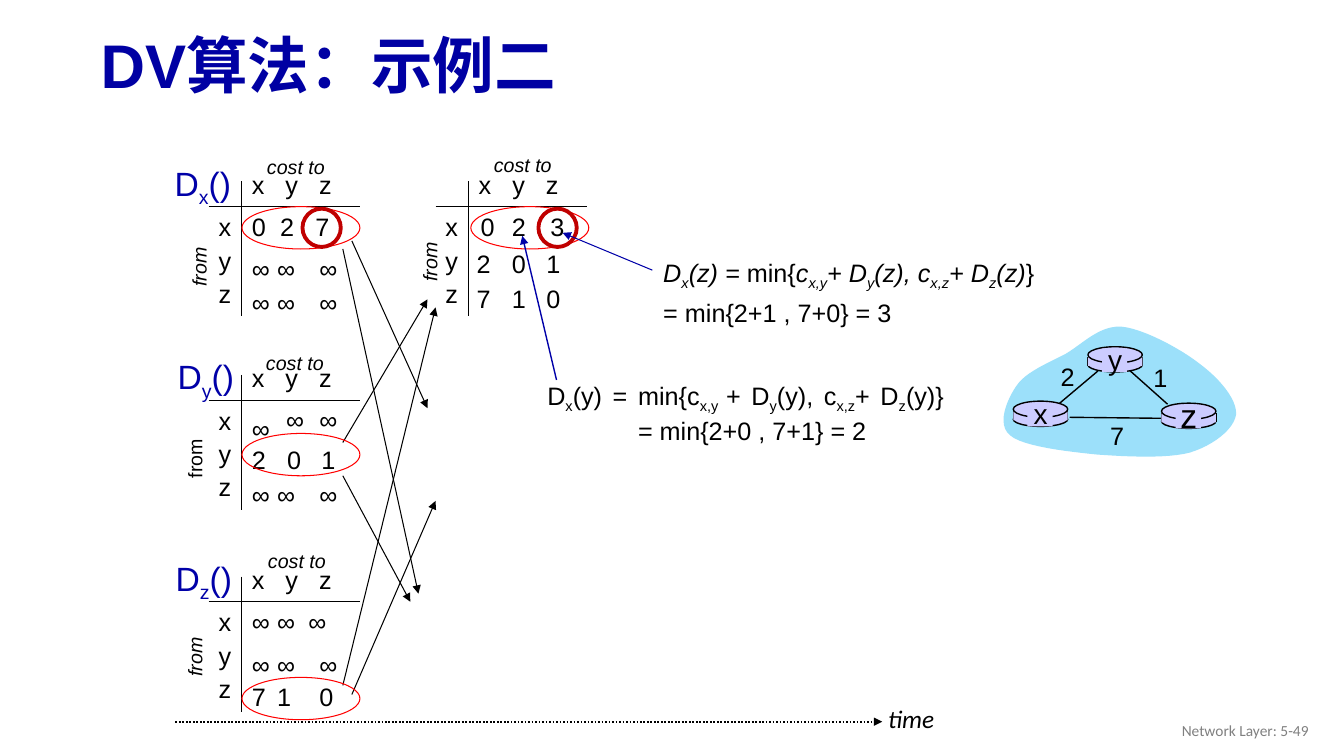
from lxml import etree
from pptx import Presentation
from pptx.dml.color import RGBColor
from pptx.enum import dml, shapes, text
from pptx.oxml import ns
from pptx.util import Inches, Pt

COLORS = {
    "title": "0000A3", "navy": "0000A8", "black": "000000", "gray": "808080",
    "red": "FF0000", "crimson": "C00000", "cloud": "9CE0FA", "router": "CCCCFF",
}
ALIGN, ANCHOR = text.PP_ALIGN, text.MSO_ANCHOR
OVAL, RECTANGLE = shapes.MSO_SHAPE.OVAL, shapes.MSO_SHAPE.RECTANGLE
WIDE, EVEN, SHIFTED = (0, 0.25, 0.67), (0, 0.35, 0.69), (-0.02, 0.33, 0.67)

TABLES = [
    {"name": "D|x|()", "origin": (2.4, 1.8), "right": 2.39, "cost": (2.55, 1.49), "from": (1.97, 2.65),
     "rows": [("027", 0.25, (0, 0.28, 0.63)), ("∞∞∞", 0.66, WIDE), ("∞∞∞", 1, WIDE)]},
    {"name": "", "origin": (4.65, 1.8), "cost": (4.8, 1.47), "from": (4.26, 2.6),
     "rows": [("023", 0.25, (0.02, 0.33, 0.71)), ("201", 0.61, SHIFTED), ("710", 0.96, SHIFTED)]},
    {"name": "D|y|()", "origin": (2.4, 3.72), "right": 2.42, "cost": (2.54, 3.43), "from": (1.93, 4.55),
     "upright": True,
     "rows": [("∞", 0.33, (0,)), ("∞∞", 0.24, (0.34, 0.67)), ("201", 0.64, EVEN), ("∞∞∞", 0.99, WIDE)]},
    {"name": "D|z|()", "origin": (2.4, 5.72), "right": 2.4, "cost": (2.56, 5.4), "from": (1.93, 6.52),
     "rows": [("∞∞∞", 0.25, (0, 0.25, 0.56)), ("∞∞∞", 0.67, WIDE), ("710", 0.99, WIDE)]},
]
EXCHANGES = [
    ((3.49, 2.39), (4.24, 4.05)), ((3.4, 2.47), (4.15, 5.89)), ((3.4, 4.39), (4.24, 2.97)),
    ((3.4, 4.72), (4.07, 5.97)), ((3.4, 6.8), (4.32, 3.05)), ((3.49, 6.89), (4.32, 4.97)),
]
CLOUD = [
    (10.08, 3.83), (10.17, 3.69), (10.4, 3.6), (10.57, 3.51), (10.74, 3.41), (10.9, 3.23), (11.12, 3.24),
    (11.34, 3.26), (11.71, 3.46), (11.9, 3.61), (12.09, 3.75), (12.27, 3.96), (12.26, 4.11),
    (12.24, 4.26), (12.03, 4.42), (11.8, 4.49), (11.57, 4.55), (11.18, 4.53), (10.89, 4.51),
    (10.59, 4.48), (10.15, 4.43), (10.02, 4.32), (9.88, 4.21), (9.99, 3.96), (10.08, 3.83),
]
LINKS = [
    ((10.51, 4), (10.89, 3.68), "2", (10.59, 3.74)),
    ((11.21, 3.68), (11.58, 4.01), "1", (11.51, 3.75)),
    ((11.54, 4.15), (10.61, 4.14), "7", (11.08, 4.32)),
]
ROUTERS = [("x", 10.05, 3.98, 20), ("z", 11.52, 4, 24), ("y", 10.79, 3.44, 20)]


def rgb(color):
    return RGBColor.from_string(COLORS[color])


def style(paragraph, size, color="black", font="Arial", italic=False, bold=False,
          align=ALIGN.LEFT, spacing=1.0):
    paragraph.font.size, paragraph.font.name = Pt(size), font
    paragraph.font.color.rgb = rgb(color)
    paragraph.font.italic, paragraph.font.bold = italic, bold
    paragraph.alignment, paragraph.line_spacing = align, spacing


def add_markup(paragraph, markup, italic=None):
    for index, part in enumerate(markup.split("|")):
        if part:
            run = paragraph.add_run()
            run.text = part
            run.font.italic = italic
            if index % 2:
                run._r.get_or_add_rPr().set("baseline", "-25000")


def add_box(parent, left, top, width, height, anchor=ANCHOR.TOP):
    box = parent.add_textbox(Inches(left), Inches(top), Inches(width), Inches(height))
    box.text_frame.word_wrap = True
    box.text_frame.vertical_anchor = anchor
    return box


def add_text(parent, markup, left, top, width=0.4, height=0.4, size=18, anchor=ANCHOR.TOP, **options):
    box = add_box(parent, left, top, width, height, anchor)
    paragraph = box.text_frame.paragraphs[0]
    add_markup(paragraph, markup)
    style(paragraph, size, **options)
    return box


def add_centered(parent, label, center, size=18, width=0.5, height=0.4, **options):
    return add_text(parent, label, center[0] - width / 2, center[1] - height / 2,
                    width, height, size, align=ALIGN.CENTER, **options)


def add_line(parent, start, end, color="black", weight=0.75, arrow=False):
    line = parent.add_connector(shapes.MSO_CONNECTOR.STRAIGHT, *(Inches(value) for value in start + end))
    line.line.color.rgb = rgb(color)
    line.line.width = Pt(weight)
    if arrow:
        etree.SubElement(line.line._get_or_add_ln(), ns.qn("a:tailEnd"), type="triangle")
    etree.SubElement(line._element.spPr, ns.qn("a:effectLst"))
    return line


def paint(shape, fill=None, line=None, weight=1):
    shape.shadow.inherit = False
    shape.fill.background()
    shape.line.fill.background()
    if fill:
        shape.fill.solid()
        shape.fill.fore_color.rgb = rgb(fill)
    if line:
        shape.line.color.rgb = rgb(line)
        shape.line.width = Pt(weight)


def add_preset(parent, kind, left, top, width, height, **look):
    paint(parent.add_shape(kind, Inches(left), Inches(top), Inches(width), Inches(height)), **look)


def add_distance_table(parent, table):
    left, top = table["origin"]
    add_line(parent, (left, top), (left, top + 1.34))
    add_line(parent, (left - 0.33, top + 0.25), (left + 1.17, top + 0.25))
    for index, node in enumerate("xyz"):
        add_text(parent, node, left + index / 3, top - 0.17)
        add_text(parent, node, left - 0.33, top + 0.25 + index * 0.33)
    for values, offset, columns in table["rows"]:
        for value, column in zip(values, columns):
            add_text(parent, value, left + column, top + offset)
    add_text(parent, "cost to", *table["cost"], 0.9, 0.33, 14, italic=True)
    label = add_centered(parent, "from", table["from"], 14, 0.7, 0.33, italic=not table.get("upright"))
    label.rotation = 270
    if table["name"]:
        add_text(parent, table["name"], table["right"] - 0.9, top - 0.21, 0.9, 0.44, 24,
                 color="navy", align=ALIGN.RIGHT, spacing=0.85)


def curve_points(points, steps=12):
    for index in range(0, len(points) - 1, 3):
        for step in range(1, steps + 1):
            t = step / steps
            u = 1 - t
            yield tuple(Inches(u**3 * a + 3 * u * u * t * b + 3 * u * t * t * c + t**3 * d)
                        for a, b, c, d in zip(*points[index:index + 4]))


def add_router(parent, name, left, top, size):
    add_preset(parent, OVAL, left, top + 0.11, 0.54, 0.14, fill="router", line="black")
    for side in (left, left + 0.54):
        add_line(parent, (side, top + 0.1), (side, top + 0.19), weight=1)
    add_preset(parent, RECTANGLE, left, top + 0.1, 0.54, 0.09, fill="router")
    add_preset(parent, OVAL, left, top, 0.54, 0.16, fill="router", line="black")
    add_preset(parent, RECTANGLE, left + 0.14, top + 0.02, 0.25, 0.23, fill="router")
    add_centered(parent, name, (left + 0.27, top + 0.12), size, height=0.02 * size + 0.03)


def add_network(slide):
    network = slide.shapes.add_group_shape().shapes
    builder = network.build_freeform(Inches(CLOUD[0][0]), Inches(CLOUD[0][1]))
    builder.add_line_segments(list(curve_points(CLOUD)), close=True)
    paint(builder.convert_to_shape(), fill="cloud")
    for start, end, cost, center in LINKS:
        add_line(network, start, end, weight=1)
        add_centered(network, cost, center)
    for router in ROUTERS:
        add_router(network, *router)


def add_formulas(parent):
    paragraph = add_box(parent, 5.33, 3.74, 4.13, 0.71, ANCHOR.MIDDLE).text_frame.paragraphs[0]
    add_markup(paragraph, "D|x|(y) = min{c|x,y |+ D|y|(y), c|x,z|+ D|z|(y)}")
    paragraph.add_line_break()
    add_markup(paragraph, "= min{2+0 , 7+1} = 2")
    properties = paragraph._p.get_or_add_pPr()
    properties.set("marL", str(Inches(0.9)))
    properties.set("indent", str(Inches(-0.9)))
    style(paragraph, 18, align=ALIGN.JUSTIFY)
    frame = add_box(parent, 6.48, 2.47, 4, 0.79, ANCHOR.MIDDLE).text_frame
    for markup, italic in (("D|x|(z) = ", True), ("min{", False),
                           ("c|x,y|+ D|y|(z), c|x,z|+ D|z|(z)", True), ("}", False)):
        add_markup(frame.paragraphs[0], markup, italic)
    add_markup(frame.add_paragraph(), "= min{2+1 , 7+0} = 3")
    for paragraph in frame.paragraphs:
        style(paragraph, 18, spacing=1.2)
    add_line(parent, (5.52, 3.77), (5.18, 2.34), "navy", 1, arrow=True)
    add_line(parent, (6.47, 2.68), (5.58, 2.31), "navy", arrow=True)


def main():
    presentation = Presentation()
    presentation.slide_width, presentation.slide_height = Inches(13.33), Inches(7.5)
    slide = presentation.slides.add_slide(presentation.slide_layouts[6])
    canvas = slide.shapes
    add_text(canvas, "DV算法：示例二", 0.9, 0.19, 11.91, 0.98, 44, ANCHOR.MIDDLE,
             color="title", bold=True, spacing=0.9)
    add_text(canvas, "Network Layer: 5-49", 10.08, 7.05, 3, 0.4, 11, ANCHOR.MIDDLE,
             color="gray", font="Calibri", align=ALIGN.RIGHT)
    for table in TABLES:
        add_distance_table(canvas, table)
    for start, end in EXCHANGES:
        add_line(canvas, start, end, arrow=True)
    time_axis = add_line(canvas, (1.74, 7.16), (8.75, 7.16), weight=1.25, arrow=True)
    time_axis.line.dash_style = dml.MSO_LINE.ROUND_DOT
    add_text(canvas, "time", 8.71, 6.93, 0.8, font="Calibri", italic=True)
    add_network(slide)
    for left, top in ((2.4, 2.05), (2.4, 4.3), (2.4, 6.72), (4.67, 2.05)):
        add_preset(canvas, OVAL, left, top, 1.17, 0.42, line="red", weight=0.75)
    for left in (3, 5.34):
        add_preset(canvas, OVAL, left, 2.07, 0.38, 0.38, line="crimson", weight=2.75)
    add_formulas(canvas)
    presentation.save("out.pptx")


if __name__ == "__main__":
    main()
